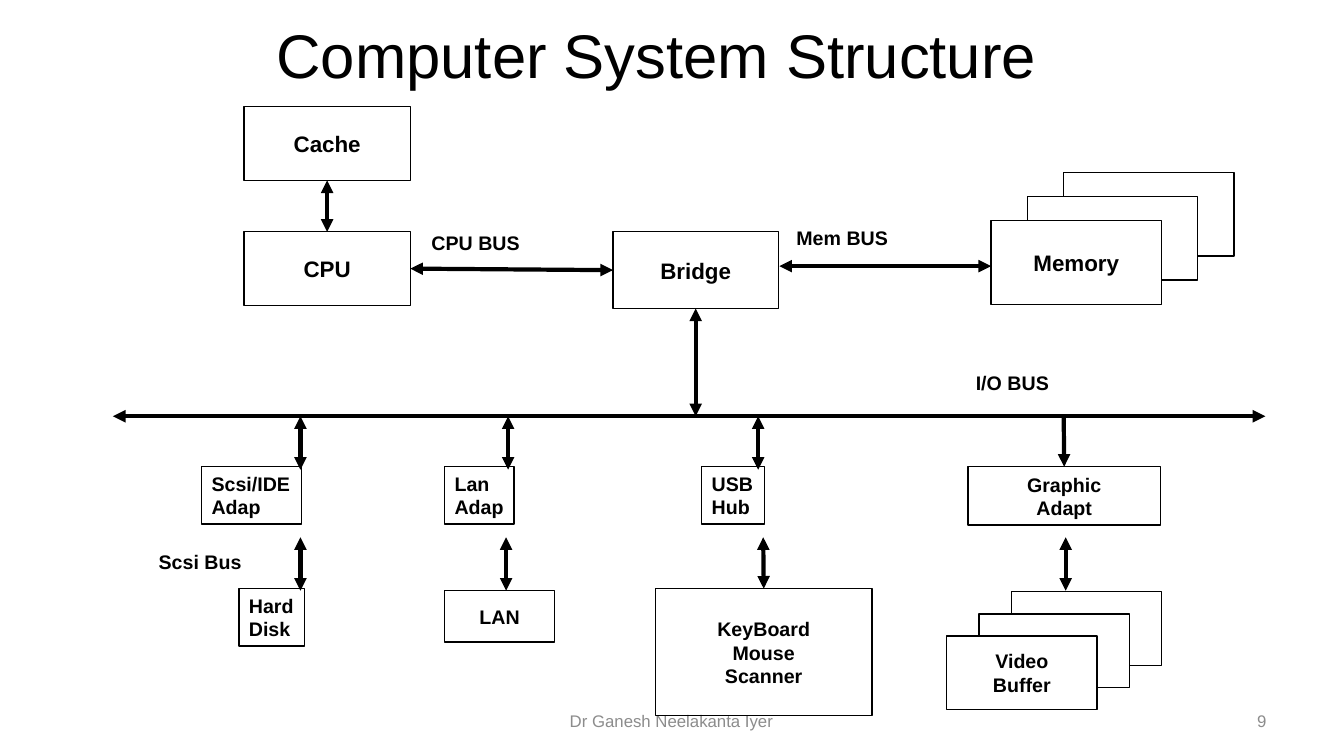
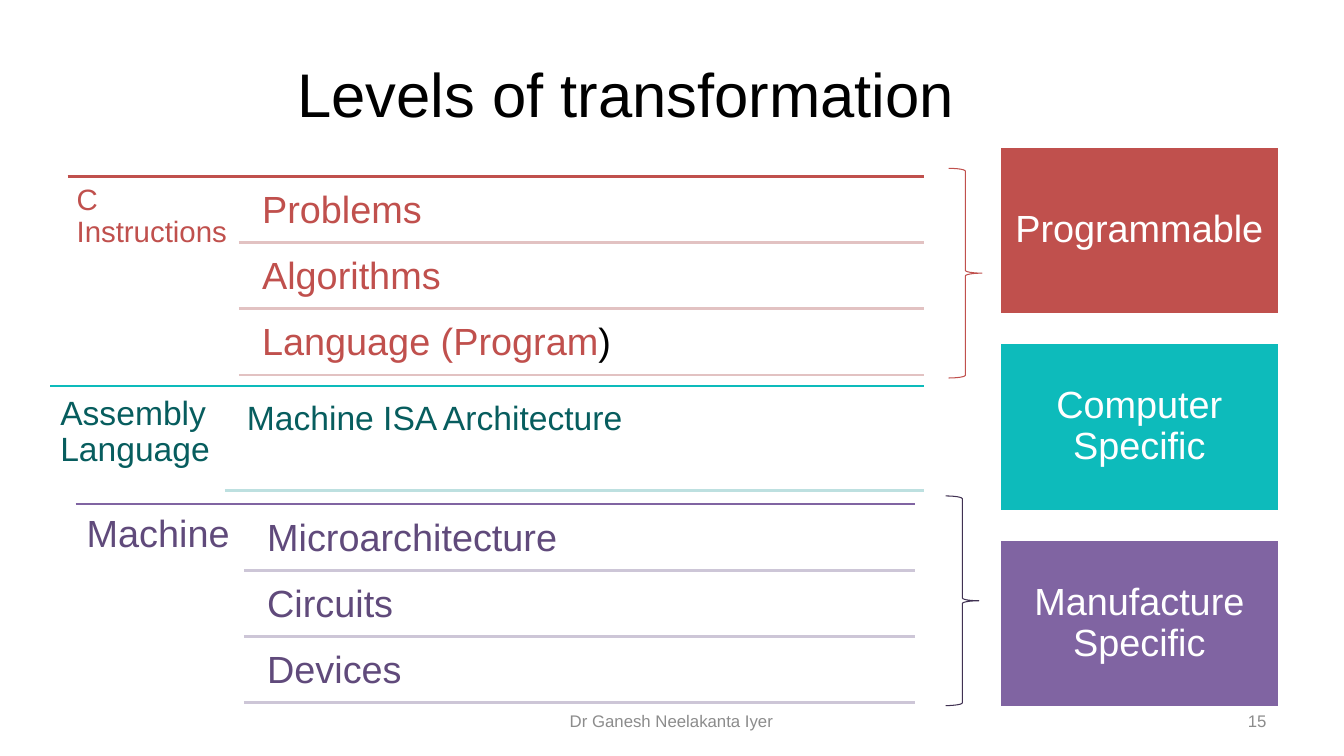
from dataclasses import dataclass, replace

from pptx import Presentation
from pptx.dml.color import RGBColor
from pptx.enum.shapes import MSO_CONNECTOR, MSO_SHAPE
from pptx.enum.text import MSO_ANCHOR, PP_ALIGN
from pptx.oxml.ns import qn
from pptx.util import Emu, Pt

SCALE = 9144
FONT = "Arial"
BLACK, WHITE, GREY = "000000", "FFFFFF", "8C8C8C"
RED, TEAL, PLUM = "C0504D", "0DBBBB", "8064A2"
LEFT, MID, RIGHT = PP_ALIGN.LEFT, PP_ALIGN.CENTER, PP_ALIGN.RIGHT
BOTH = ("headEnd", "tailEnd")


@dataclass(frozen=True)
class Look:
    """Style of one block of text."""

    size: int
    color: str = BLACK
    bold: bool = False
    align: PP_ALIGN = MID
    anchor: MSO_ANCHOR = MSO_ANCHOR.MIDDLE
    inset: tuple = (10, 5)
    gap: float = 1.0
    wrap: bool = True


TITLE = Look(44)
FOOT = Look(12, GREY)
PART = Look(16, bold=True, wrap=False)
SMALL = replace(PART, size=14)
SIDE = replace(SMALL, align=LEFT)
TAG = replace(SIDE, anchor=MSO_ANCHOR.TOP)
BLOCK = Look(27, WHITE, inset=(11, 11), gap=0.9)


def px(*nums):
    """Turn px lengths into EMU."""
    return [Emu(round(num * SCALE)) for num in nums]


def rgb(code):
    """Turn a hex string into a colour."""
    return RGBColor.from_string(code)


def write(shape, lines, look):
    """Fill a shape with paragraphs, each a string or a list of coloured runs."""
    frame = shape.text_frame
    frame.word_wrap = look.wrap
    frame.vertical_anchor = look.anchor
    side, top = px(*look.inset)
    frame.margin_left = frame.margin_right = side
    frame.margin_top = frame.margin_bottom = top
    for num, line in enumerate(lines):
        para = frame.add_paragraph() if num else frame.paragraphs[0]
        para.alignment = look.align
        para.line_spacing = look.gap
        runs = [(line, look.color)] if isinstance(line, str) else line
        for words, color in runs:
            run = para.add_run()
            run.text = words
            run.font.name = FONT
            run.font.size = Pt(look.size)
            run.font.bold = look.bold
            run.font.color.rgb = rgb(color)


def label(slide, place, lines, look):
    """Add a text box."""
    write(slide.shapes.add_textbox(*px(*place)), lines, look)


def form(slide, kind, place, fill, edge, width):
    """Add a preset shape with a plain fill and outline."""
    shape = slide.shapes.add_shape(kind, *px(*place))
    shape.shadow.inherit = False
    if fill:
        shape.fill.solid()
        shape.fill.fore_color.rgb = rgb(fill)
    else:
        shape.fill.background()
    shape.line.color.rgb = rgb(edge)
    shape.line.width = Pt(width)
    return shape


def box(slide, place, lines=(), look=SMALL, fill=WHITE):
    """Add a black-edged box with text."""
    shape = form(slide, MSO_SHAPE.RECTANGLE, place, fill, BLACK, 1)
    write(shape, lines, look)
    return shape


def stack(slide, place, shift, lines, look):
    """Add three boxes, one behind the other, with text in front."""
    left, top, wide, high = place
    for step in (2, 1):
        box(slide, (left + step * shift[0], top - step * shift[1], wide, high))
    box(slide, place, lines, look)


def rule(slide, start, stop, color, width=2):
    """Add a straight line."""
    line = slide.shapes.add_connector(MSO_CONNECTOR.STRAIGHT, *px(*start, *stop))
    line.line.color.rgb = rgb(color)
    line.line.width = Pt(width)
    props = line._element.spPr
    props.append(props.makeelement(qn("a:effectLst"), {}))
    return line


def arrow(slide, start, stop, heads=BOTH, tie=None, join=None):
    """Add a thick arrow, tied at its start or joined at its end to a box."""
    line = rule(slide, start, stop, BLACK, 3)
    edge = line.line._get_or_add_ln()
    for head in heads:
        edge.append(edge.makeelement(qn("a:" + head), {"type": "triangle"}))
    if tie:
        line.begin_connect(*tie)
    if join:
        line.end_connect(*join)


def level(slide, place, name, size, rows, colors):
    """Add a named level with ruled rows."""
    left, top, right, indent, span = place
    main, pale, ink = colors
    inset = round(size * 0.41)
    look = Look(size, ink, align=LEFT, anchor=MSO_ANCHOR.TOP,
                inset=(inset, inset), gap=0.9)
    rule(slide, (left, top), (right, top), main)
    label(slide, (left, top, indent, span), [name], look)
    step = span / len(rows)
    start = left + indent
    if len(rows) > 1:
        look = replace(look, size=27, inset=(11, 11))
    for num, row in enumerate(rows):
        head = top + num * step
        spot = (start + 12, head + step / 20, right - start - 12, step * 0.95)
        label(slide, spot, [row], look)
        rule(slide, (start, head + step), (right, head + step), pale)


def page(deck, title, place, number, gap):
    """Add a blank slide with its title and footer."""
    slide = deck.slides.add_slide(deck.slide_layouts[6])
    label(slide, place, [title], replace(TITLE, gap=gap))
    label(slide, (455, 695, 422, 40), ["Dr Ganesh Neelakanta Iyer"], FOOT)
    label(slide, (955, 695, 311, 40), [number], replace(FOOT, align=RIGHT))
    return slide


def system(deck):
    """Build the slide of the computer system."""
    slide = page(deck, "Computer System Structure", (78, 11, 1147, 95), "9", 0.9)
    cache = box(slide, (242, 106, 165, 73), ["Cache"], PART)
    chip = box(slide, (242, 230, 165, 73), ["CPU"], PART)
    bridge = box(slide, (608, 230, 164, 76), ["Bridge"], PART)
    stack(slide, (983, 219, 169, 83), (36, 24), ["Memory"], PART)
    stack(slide, (939, 631, 149, 73), (32, 22), ["Video", "Buffer"], SMALL)
    for place, lines, look in (
        ((200, 463, 99, 57), ["Scsi/IDE", "Adap"], SIDE),
        ((441, 463, 69, 57), ["Lan", "Adap"], SIDE),
        ((696, 463, 62, 57), ["USB", "Hub"], SIDE),
        ((237, 584, 65, 57), ["Hard", "Disk"], SIDE),
        ((441, 586, 109, 51), ["LAN"], SMALL),
    ):
        box(slide, place, lines, look, None)
    graph = box(slide, (960, 463, 191, 58), ["Graphic", "Adapt"], SMALL, None)
    keys = box(slide, (650, 584, 215, 126), ["KeyBoard", "Mouse", "Scanner"],
               SMALL, None)

    arrow(slide, (325, 179), (325, 230), tie=(cache, 2), join=(chip, 0))
    arrow(slide, (407, 266), (608, 268), tie=(chip, 3), join=(bridge, 1))
    arrow(slide, (773, 264), (983, 264))
    arrow(slide, (690, 306), (690, 413), tie=(bridge, 2))
    arrow(slide, (112, 413), (1255, 413))
    for left in (298, 504, 752):
        arrow(slide, (left, 413), (left, 466))
    arrow(slide, (1055, 413), (1055, 463), ("tailEnd",), join=(graph, 0))
    for left in (298, 502, 1057):
        arrow(slide, (left, 533), (left, 586))
    arrow(slide, (757, 533), (757, 584), join=(keys, 0))

    for place, words, look in (
        ((418, 224, 109, 34), "CPU BUS", TAG),
        ((780, 219, 112, 34), "Mem BUS", TAG),
        ((958, 363, 93, 34), "I/O BUS", TAG),
        ((124, 542, 149, 30), "Scsi Bus", SMALL),
    ):
        label(slide, place, [words], look)


def levels(deck):
    """Build the slide of the transformation levels."""
    slide = page(deck, "Levels of transformation", (67, 30, 1108, 125), "15", 1.0)
    level(slide, (67, 175, 916, 170, 197), "C Instructions", 21,
          ["Problems", "Algorithms", [("Language (Program", RED), (")", BLACK)]],
          (RED, "E2C2C2", RED))
    level(slide, (50, 383, 916, 173, 104), "Assembly Language", 24,
          ["Machine ISA Architecture"], (TEAL, "BDE0E0", "075D5E"))
    level(slide, (75, 500, 908, 167, 197), "Machine", 27,
          ["Microarchitecture", "Circuits", "Devices"],
          (PLUM, "CDC6D7", "604A7B"))
    for left, top, color in ((941, 167, RED), (938, 492, "403152")):
        form(slide, MSO_SHAPE.RIGHT_BRACE, (left, top, 33, 208), None, color, 0.75)
    scopes = (("Programmable", RED), ("Computer Specific", TEAL),
              ("Manufacture Specific", PLUM))
    for num, (words, color) in enumerate(scopes):
        place = (991, 145 + num * 195, 278, 167)
        shape = form(slide, MSO_SHAPE.RECTANGLE, place, color, WHITE, 2)
        write(shape, [words], BLOCK)


def main():
    """Build and save the deck."""
    deck = Presentation()
    deck.slide_width, deck.slide_height = px(1333, 750)
    system(deck)
    levels(deck)
    deck.save("out.pptx")


if __name__ == "__main__":
    main()
